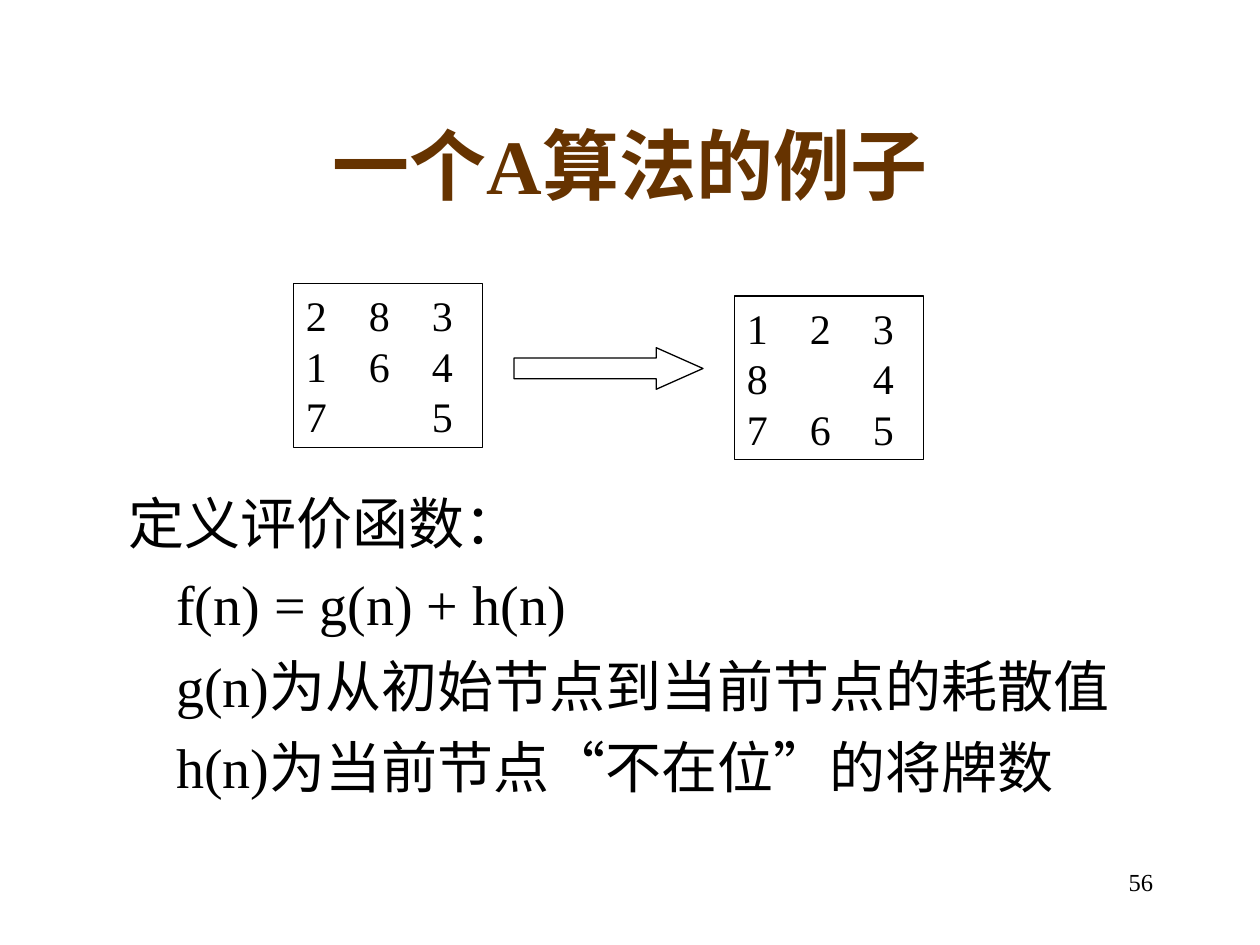
from pptx import Presentation
from pptx.dml.color import RGBColor
from pptx.enum.shapes import MSO_SHAPE
from pptx.enum.text import MSO_ANCHOR, PP_ALIGN
from pptx.oxml.ns import qn
from pptx.util import Inches, Pt
from lxml.etree import SubElement

FONT = "Times New Roman"
BLACK, BROWN = "000000", "663300"
TITLE = "一个A算法的例子"
PAGE_NUMBER = "56"
DEFINITION = [
    "定义评价函数：",
    "f(n) = g(n) + h(n)",
    "g(n)为从初始节点到当前节点的耗散值",
    "h(n)为当前节点“不在位”的将牌数",
]
# Each puzzle: left, top and its rows of tiles (an empty string is the gap)
PUZZLES = [
    (2.33, 2.25, [("2", "8", "3"), ("1", "6", "4"), ("7", "", "5")]),
    (5.83, 2.35, [("1", "2", "3"), ("8", "", "4"), ("7", "6", "5")]),
]
PUZZLE_SIZE = (1.5, 1.3)
TILE_PITCH = 0.5
ARROW_AREA = (4.08, 2.76, 1.5, 0.33)
INDENT = 0.38


def color(hex_string):
    return RGBColor.from_string(hex_string)


def write(shape, lines, size, hex_color=BLACK, bold=False,
          align=PP_ALIGN.LEFT, anchor=MSO_ANCHOR.TOP):
    """Fill a shape with one paragraph per line and return the paragraphs."""
    frame = shape.text_frame
    frame.word_wrap = True
    frame.vertical_anchor = anchor
    frame.text = "\n".join(lines)
    for paragraph in frame.paragraphs:
        paragraph.alignment = align
        for run in paragraph.runs:
            run.font.color.rgb = color(hex_color)
            for name, value in {"name": FONT, "size": Pt(size), "bold": bold}.items():
                setattr(run.font, name, value)
    return frame.paragraphs


def add_text(slide, area, lines, size, **formats):
    box = slide.shapes.add_textbox(*map(Inches, area))
    return write(box, lines, size, **formats)


def add_outline(slide, preset, area):
    """Add a preset shape with a thin black line and no fill."""
    shape = slide.shapes.add_shape(preset, *map(Inches, area))
    shape.shadow.inherit = False
    shape.fill.background()
    shape.line.color.rgb = color(BLACK)
    shape.line.width = Pt(0.75)
    return shape


def add_tab_stops(paragraph, positions):
    tab_list = SubElement(paragraph._p.get_or_add_pPr(), qn("a:tabLst"))
    for position in positions:
        SubElement(tab_list, qn("a:tab"), pos=str(Inches(position)), algn="l")


def add_puzzle(slide, left, top, rows):
    square = add_outline(slide, MSO_SHAPE.RECTANGLE, (left, top, *PUZZLE_SIZE))
    lines = ["\t".join(row) for row in rows]
    for paragraph in write(square, lines, 24, anchor=MSO_ANCHOR.MIDDLE):
        add_tab_stops(paragraph, [TILE_PITCH * column for column in (1, 2)])


def main():
    presentation = Presentation()
    presentation.slide_width, presentation.slide_height = Inches(10), Inches(7.5)
    slide = presentation.slides.add_slide(presentation.slide_layouts[6])

    add_text(slide, (7.17, 6.83, 2.08, 0.5), [PAGE_NUMBER], 14, align=PP_ALIGN.RIGHT)
    add_text(slide, (0.75, 0.67, 8.5, 1.25), [TITLE], 44, hex_color=BROWN, bold=True,
             align=PP_ALIGN.CENTER, anchor=MSO_ANCHOR.MIDDLE)

    definition = add_text(slide, (0.92, 3.83, 8.5, 3.33), DEFINITION, 32)
    for paragraph in definition[1:]:
        paragraph.space_before = Pt(8)
        paragraph._p.get_or_add_pPr().set("marL", str(Inches(INDENT)))

    for left, top, rows in PUZZLES:
        add_puzzle(slide, left, top, rows)

    arrow = add_outline(slide, MSO_SHAPE.RIGHT_ARROW, ARROW_AREA)
    arrow.adjustments[0], arrow.adjustments[1] = 0.5, 1.125

    presentation.save("out.pptx")


if __name__ == "__main__":
    main()
